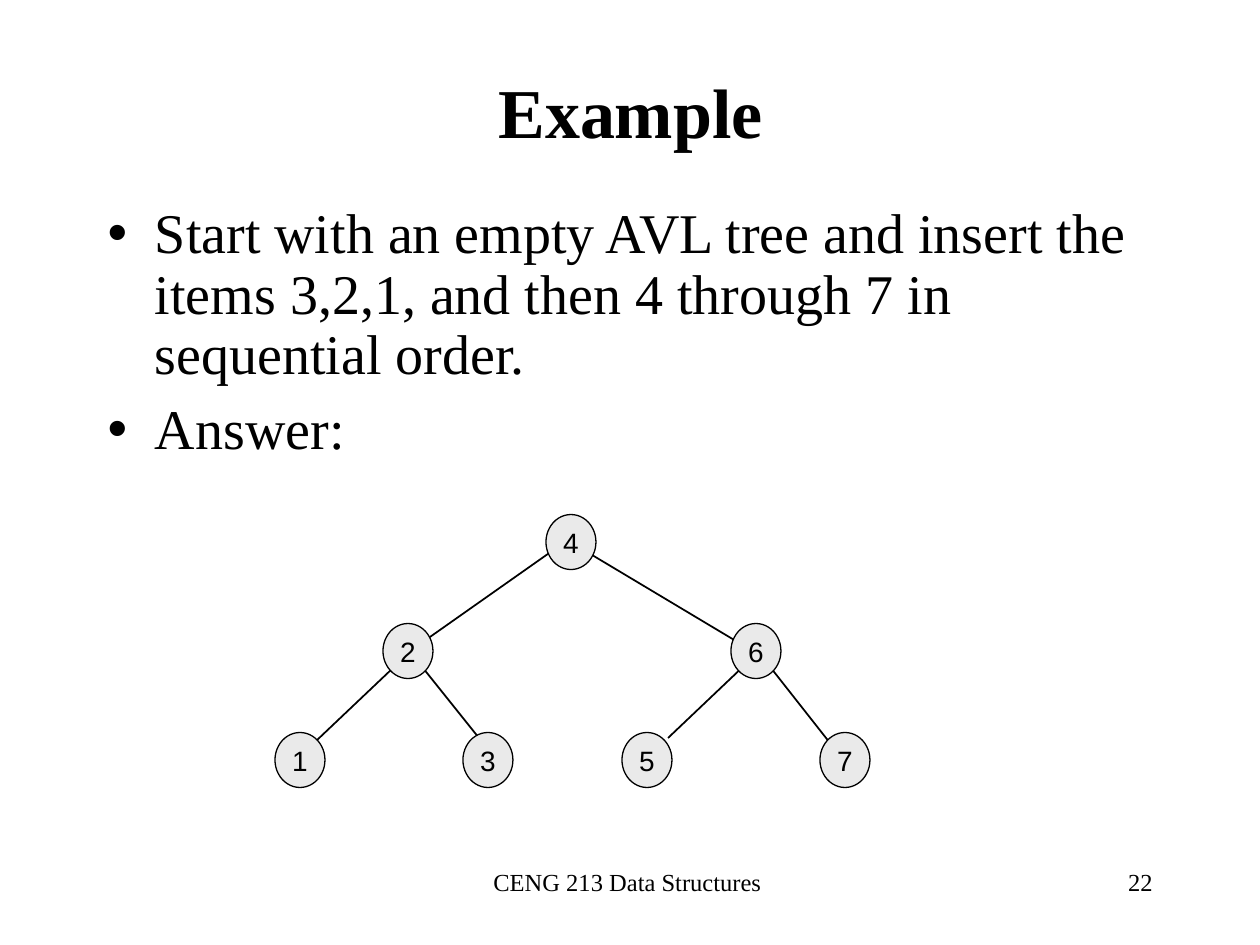
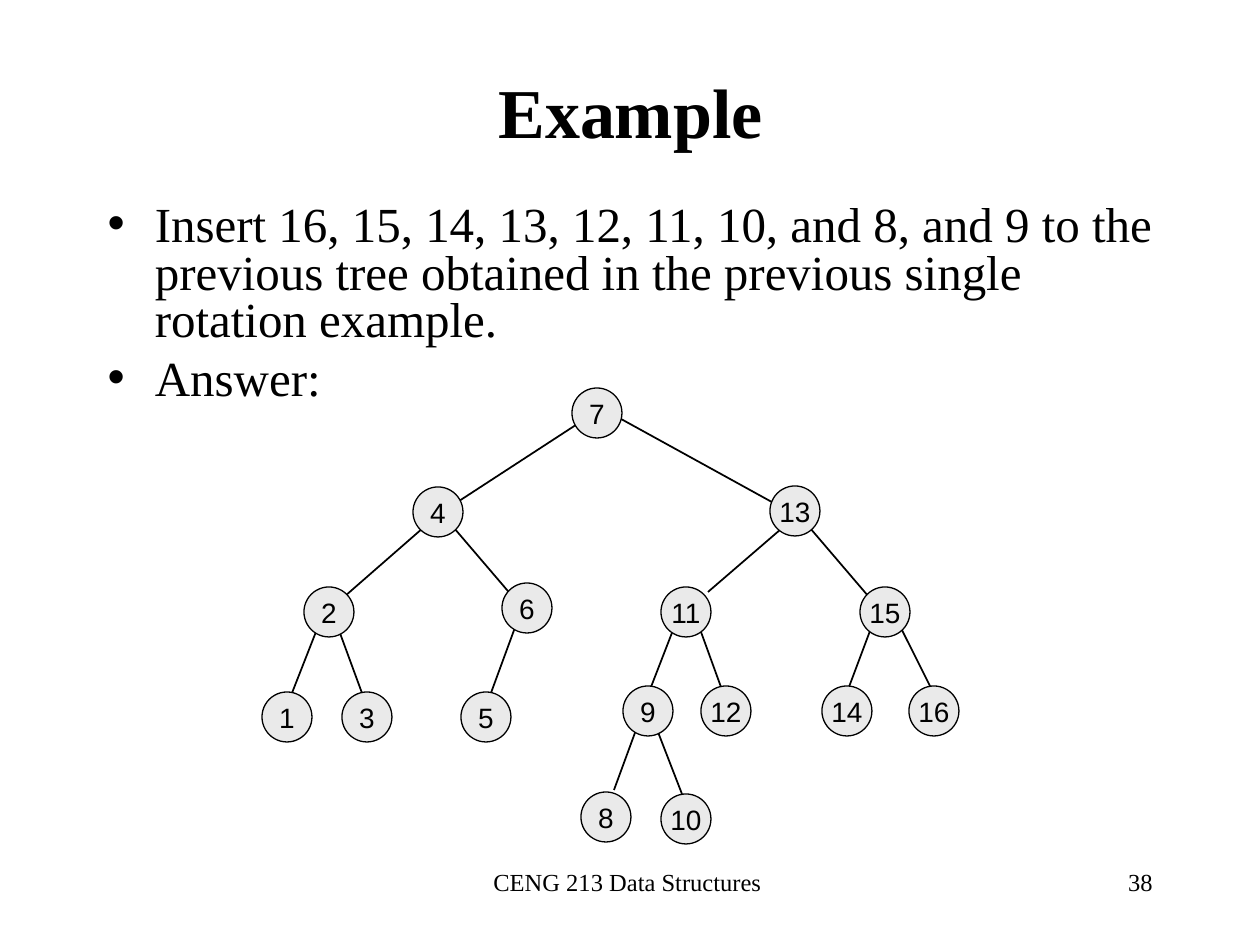
from dataclasses import dataclass

from lxml import etree
from pptx import Presentation
from pptx.dml.color import RGBColor
from pptx.enum.shapes import MSO_CONNECTOR, MSO_SHAPE
from pptx.enum.text import MSO_ANCHOR, MSO_AUTO_SIZE, PP_ALIGN
from pptx.oxml.ns import qn
from pptx.util import Emu, Pt

STRAIGHT = MSO_CONNECTOR.STRAIGHT
OVAL = MSO_SHAPE.OVAL
TOP, MIDDLE = MSO_ANCHOR.TOP, MSO_ANCHOR.MIDDLE
LEFT, CENTER, RIGHT = PP_ALIGN.LEFT, PP_ALIGN.CENTER, PP_ALIGN.RIGHT
FIXED_SIZE = MSO_AUTO_SIZE.NONE

PX_PER_INCH = 126
EMU_PER_PX = 914400 / PX_PER_INCH


@dataclass(frozen=True)
class Theme:
    ink: RGBColor = RGBColor(0x00, 0x00, 0x00)
    node_fill: RGBColor = RGBColor(0xEA, 0xEA, 0xEA)
    text_font: str = "Times New Roman"
    node_font: str = "Arial"
    title_size: int = 40
    footer_size: int = 14
    node_size: int = 16
    edge_width: float = 1
    outline_width: float = 0.75


THEME = Theme()

# Shared areas: left, top, width, height in px
PAGE_SIZE = (1260, 945)
TITLE_AREA = (95, 53, 1071, 116)
FOOTER_AREA = (431, 861, 399, 63)
NUMBER_AREA = (903, 861, 262, 63)
BODY_LEFT, BODY_TOP, BODY_WIDTH = 95, 199, 1071
FOOTER = "CENG 213 Data Structures "

# Nodes: label -> centre. Edges: child label -> line from parent to child.
SLIDES = [
    {
        "number": "22",
        "title": "Example",
        "body": [
            "Start with an empty AVL tree and insert the items 3,2,1, "
            "and then 4 through 7 in sequential order.",
            "Answer:",
        ],
        "body_height": 294,
        "body_size": 32,
        "line_spacing": 0.9,
        "space_before": 8,
        "node_box": (50, 55),
        "nodes": {
            "4": (571, 542),
            "2": (408, 651), "6": (756, 651),
            "1": (300, 760), "3": (488, 760),
            "5": (647, 760), "7": (845, 760),
        },
        "edges": {
            "2": (572, 537, 403, 656), "6": (562, 537, 761, 656),
            "1": (393, 668, 314, 743), "3": (423, 668, 483, 743),
            "5": (747, 663, 668, 738), "7": (771, 668, 830, 743),
        },
    },
    {
        "number": "38",
        "title": "Example",
        "body": [
            "Insert 16, 15, 14, 13, 12, 11, 10, and 8, and 9 to the previous "
            "tree obtained in the previous single rotation example.",
            "Answer:",
        ],
        "body_height": 231,
        "body_size": 28,
        "line_spacing": 0.8,
        "space_before": 7,
        "node_box": (50, 50),
        "nodes": {
            "7": (597, 413),
            "4": (438, 512), "13": (795, 511),
            "2": (329, 612), "6": (527, 608),
            "11": (686, 612), "15": (885, 612),
            "1": (287, 717), "3": (367, 717), "5": (486, 717),
            "9": (648, 711), "12": (726, 711),
            "14": (847, 711), "16": (934, 711),
            "8": (606, 817), "10": (686, 819),
        },
        "edges": {
            "4": (602, 408, 433, 518), "13": (592, 403, 790, 512),
            "2": (423, 528, 344, 597), "6": (454, 528, 513, 597),
            "11": (788, 523, 708, 592), "15": (810, 528, 869, 597),
            "1": (323, 614, 292, 693), "3": (333, 614, 362, 693),
            "5": (520, 614, 491, 693),
            "9": (682, 607, 651, 687), "12": (692, 607, 721, 687),
            "14": (879, 607, 849, 687), "16": (900, 626, 940, 706),
            "8": (643, 711, 614, 790), "10": (651, 714, 682, 794),
        },
    },
]


def px(*lengths):
    return [Emu(round(length * EMU_PER_PX)) for length in lengths]


def place(shape, area):
    shape.left, shape.top, shape.width, shape.height = px(*area)


def write(para, text, size, align, font=THEME.text_font, bold=False):
    para.alignment = align
    span = para.add_run()
    span.text = text
    span.font.name = font
    span.font.size = Pt(size)
    span.font.bold = bold
    span.font.color.rgb = THEME.ink


def add_title(page, text):
    title = page.shapes.title
    place(title, TITLE_AREA)
    frame = title.text_frame
    frame.auto_size = FIXED_SIZE
    frame.vertical_anchor = MIDDLE
    write(frame.paragraphs[0], text, THEME.title_size, CENTER, bold=True)


def add_body(page, content):
    body = page.placeholders[1]
    place(body, (BODY_LEFT, BODY_TOP, BODY_WIDTH, content["body_height"]))
    frame = body.text_frame
    frame.auto_size = FIXED_SIZE
    frame.vertical_anchor = TOP
    for index, text in enumerate(content["body"]):
        para = frame.add_paragraph() if index else frame.paragraphs[0]
        para.space_before = Pt(content["space_before"] if index else 0)
        para.line_spacing = content["line_spacing"]
        write(para, text, content["body_size"], LEFT)


def add_footer(page, area, text, align):
    box = page.shapes.add_textbox(*px(*area))
    box.text_frame.word_wrap = True
    write(box.text_frame.paragraphs[0], text, THEME.footer_size, align)


def add_edge(page, ends):
    edge = page.shapes.add_connector(STRAIGHT, *px(*ends))
    edge.line.color.rgb = THEME.ink
    edge.line.width = Pt(THEME.edge_width)
    etree.SubElement(edge._element.spPr, qn("a:effectLst"))


def add_node(page, label, centre, node_box):
    (x, y), (width, height) = centre, node_box
    area = (x - width / 2, y - height / 2, width, height)
    node = page.shapes.add_shape(OVAL, *px(*area))
    node.shadow.inherit = False
    node.fill.solid()
    node.fill.fore_color.rgb = THEME.node_fill
    node.line.color.rgb = THEME.ink
    node.line.width = Pt(THEME.outline_width)
    frame = node.text_frame
    frame.word_wrap = False
    frame.vertical_anchor = MIDDLE
    write(frame.paragraphs[0], label, THEME.node_size, CENTER, THEME.node_font)


def add_tree(page, content):
    """Draw the edges first so that the nodes cover their ends."""
    for ends in content["edges"].values():
        add_edge(page, ends)
    for label, centre in content["nodes"].items():
        add_node(page, label, centre, content["node_box"])


def main():
    deck = Presentation()
    deck.slide_width, deck.slide_height = px(*PAGE_SIZE)
    for content in SLIDES:
        page = deck.slides.add_slide(deck.slide_layouts[1])
        add_title(page, content["title"])
        add_body(page, content)
        add_footer(page, FOOTER_AREA, FOOTER, CENTER)
        add_footer(page, NUMBER_AREA, content["number"], RIGHT)
        add_tree(page, content)
    deck.save("out.pptx")


if __name__ == "__main__":
    main()
